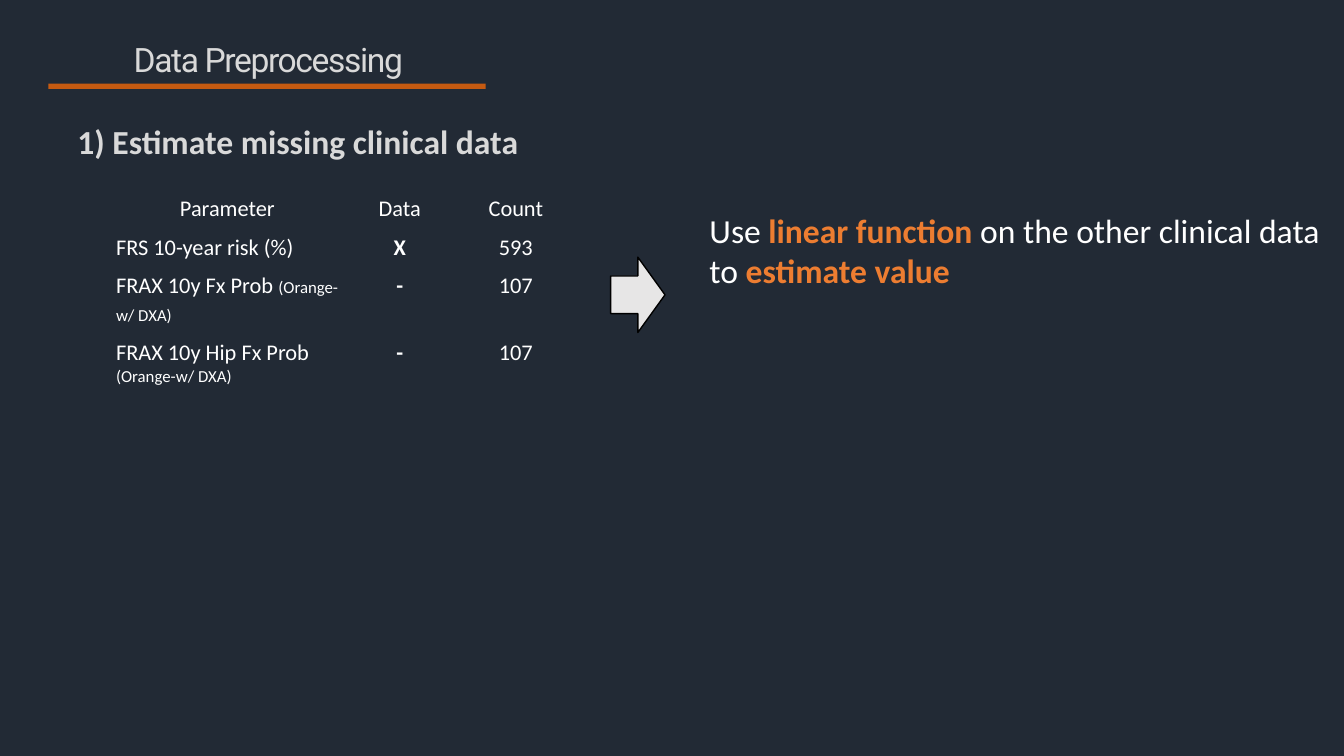
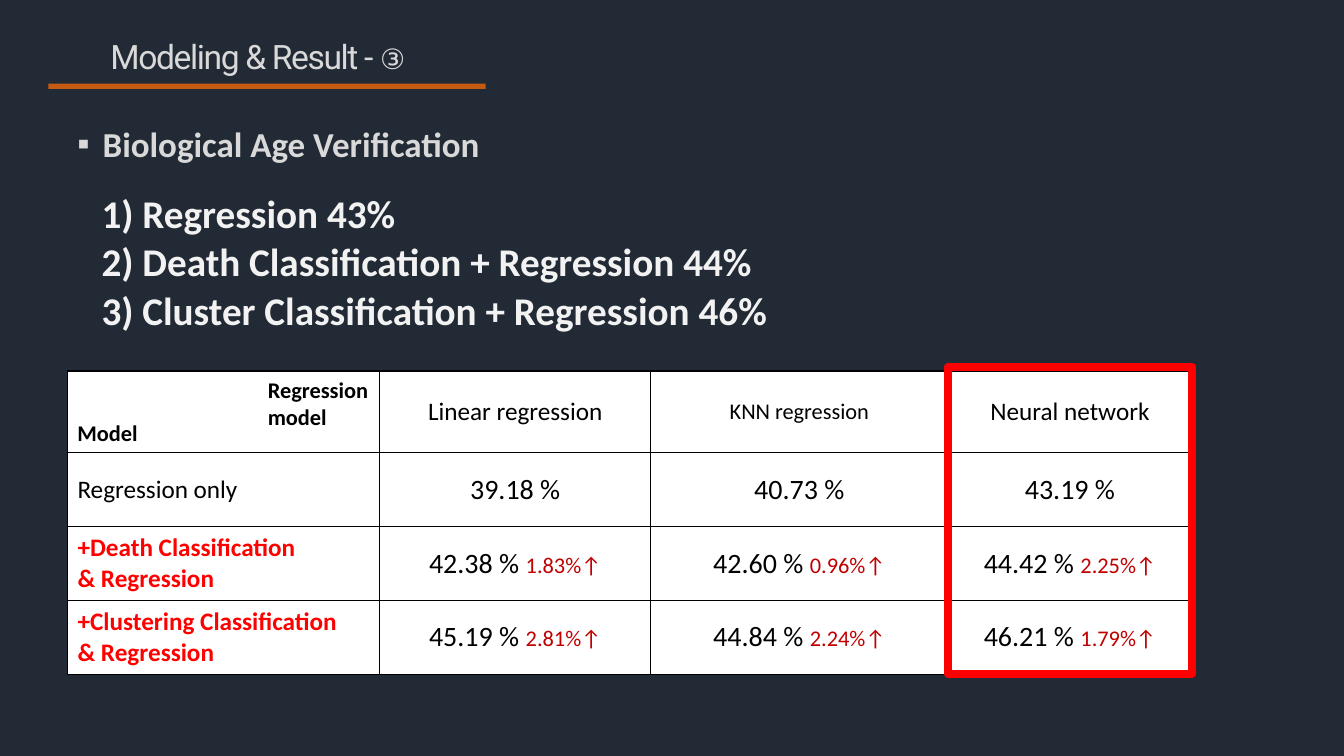
from lxml import etree
from pptx import Presentation
from pptx import util as u
from pptx.dml import color
from pptx.enum import shapes, text
from pptx.oxml import ns

NAVY, WHITE, BLACK = "222A35", "FFFFFF", "000000"
SILVER, PALE, ARROW = "D9D9D9", "F2F2F2", "E7E6E6"
RUST, ORANGE, RED, CRIMSON = "C55A11", "ED7D31", "FF0000", "C00000"
LEFT, CENTER = text.PP_ALIGN.LEFT, text.PP_ALIGN.CENTER
TOP, MIDDLE = text.MSO_ANCHOR.TOP, text.MSO_ANCHOR.MIDDLE


def rgb(value):
    """Return the colour for a hex string."""
    return color.RGBColor.from_string(value)


def box(*lengths):
    """Return lengths in centimetres as slide units."""
    return [u.Cm(n) for n in lengths]


def add_bullet(p, char, indent):
    """Give a paragraph a bullet with a hanging indent."""
    pPr = p._p.get_or_add_pPr()
    pPr.set("marL", str(u.Cm(indent)))
    pPr.set("indent", str(-u.Cm(indent)))
    etree.SubElement(pPr, ns.qn("a:buFont")).set("typeface", "Arial")
    etree.SubElement(pPr, ns.qn("a:buChar")).set("char", char)


def write(tf, paragraphs, align=LEFT, before=0, line=None, bullet=None, **fmt):
    """Fill a text frame; a paragraph is a list of strings or (string, format) runs."""
    tf.word_wrap = True
    for i, runs in enumerate(paragraphs):
        p = tf.paragraphs[0] if i == 0 else tf.add_paragraph()
        p.alignment = align
        if line:
            p.line_spacing = line
        if i and before:
            p.space_before = u.Pt(before)
        if bullet:
            add_bullet(p, bullet, 0.64)
        for run in runs:
            words, own = (run, {}) if isinstance(run, str) else run
            look = {"size": 16, "font": "Calibri", "color": WHITE, "bold": False, **fmt, **own}
            r = p.add_run()
            r.text = words
            r.font.size, r.font.name, r.font.bold = u.Pt(look["size"]), look["font"], look["bold"]
            r.font.color.rgb = rgb(look["color"])
            if "spacing" in look:
                r._r.get_or_add_rPr().set("spc", str(look["spacing"] * 100))


def add_text(s, at, paragraphs, anchor=TOP, **fmt):
    """Add a wrapped text box."""
    tf = s.shapes.add_textbox(*box(*at)).text_frame
    tf.vertical_anchor = anchor
    write(tf, paragraphs, **fmt)


def add_shape(s, kind, at, fill=None, line=None, width=1):
    """Add a preset shape with an optional fill and outline."""
    sp = s.shapes.add_shape(kind, *box(*at))
    sp.shadow.inherit = False
    if fill:
        sp.fill.solid()
        sp.fill.fore_color.rgb = rgb(fill)
    else:
        sp.fill.background()
    if line:
        sp.line.color.rgb = rgb(line)
        sp.line.width = u.Pt(width)
    else:
        sp.line.fill.background()


def set_borders(cell, line):
    """Draw all four cell borders, or clear them when no colour is given."""
    tcPr = cell._tc.get_or_add_tcPr()
    for i, side in enumerate(("lnL", "lnR", "lnT", "lnB")):
        ln = etree.Element(ns.qn("a:" + side), w=str(u.Pt(1)))
        if line:
            solid = etree.SubElement(ln, ns.qn("a:solidFill"))
            etree.SubElement(solid, ns.qn("a:srgbClr")).set("val", line)
        else:
            etree.SubElement(ln, ns.qn("a:noFill"))
        tcPr.insert(i, ln)


def add_table(s, left, top, widths, heights, fill=None, line=None):
    """Add a plain table and return it."""
    table = s.shapes.add_table(len(heights), len(widths),
                               *box(left, top, sum(widths), sum(heights))).table
    table.first_row = table.horz_banding = False
    for column, width in zip(table.columns, widths):
        column.width = u.Cm(width)
    for row, height in zip(table.rows, heights):
        row.height = u.Cm(height)
    for cell in table.iter_cells():
        if fill:
            cell.fill.solid()
            cell.fill.fore_color.rgb = rgb(fill)
        else:
            cell.fill.background()
        set_borders(cell, line)
    return table


def add_base(prs, title, left, top):
    """Add a slide with the shared background, title and underline."""
    s = prs.slides.add_slide(prs.slide_layouts[6])
    s.background.fill.solid()
    s.background.fill.fore_color.rgb = rgb(NAVY)
    add_text(s, (left, top, 10.72, 1.37), [title], MIDDLE, align=CENTER, line=0.9,
             size=24, font="Roboto", color=SILVER, spacing=-1)
    add_shape(s, shapes.MSO_SHAPE.RECTANGLE, (1.22, 2.11, 11.02, 0.13), RUST)
    return s


def add_missing_table(s, left, top):
    """Add the table of parameters with missing data."""
    note = ("(Orange-w/ DXA)", {"size": 12})
    rows = [(["Parameter"], "Data", "Count"),
            (["FRS 10-year risk (%)"], "X", "593"),
            (["FRAX 10y Fx Prob ", note, " "], "-", "107"),
            (["FRAX 10y Hip Fx Prob ", note], "-", "107")]
    table = add_table(s, left, top, (6.12, 2.57, 3.28), (0.97, 0.97, 1.68, 1.52))
    for r, (name, mark, count) in enumerate(rows):
        write(table.cell(r, 0).text_frame, [name], align=LEFT if r else CENTER)
        write(table.cell(r, 1).text_frame, [[mark]], align=CENTER, bold=r > 0)
        write(table.cell(r, 2).text_frame, [[count]], align=CENTER)


def add_result_table(s, left, top):
    """Add the accuracy table with its split corner and highlighted column."""
    widths, heights = (7.87, 6.83, 7.49, 6.15), (2.06, 1.86, 1.86, 1.86)
    heads = [("Linear regression", 18), ("KNN regression", 16), ("Neural network", 18)]
    rows = [(["Regression only"], ["39.18", "40.73", "43.19"], None),
            (["+Death Classification", "& Regression"],
             ["42.38", "42.60", "44.42"], ["1.83", "0.96", "2.25"]),
            (["+Clustering Classification", "& Regression"],
             ["45.19", "44.84", "46.21"], ["2.81", "2.24", "1.79"])]
    table = add_table(s, left, top, widths, heights, WHITE, BLACK)
    for cell in table.iter_cells():
        cell.vertical_anchor = MIDDLE
    for c, (head, size) in enumerate(heads, 1):
        cell = table.cell(0, c)
        cell.margin_left = cell.margin_right = cell.margin_top = cell.margin_bottom = 0
        write(cell.text_frame, [[head]], align=CENTER, size=size, color=BLACK)
    for r, (model, scores, gains) in enumerate(rows, 1):
        write(table.cell(r, 0).text_frame, [[part] for part in model], size=18,
              color=RED if gains else BLACK, bold=bool(gains))
        for c, score in enumerate(scores):
            runs = [score + " %"]
            if gains:
                runs = [score + " % ", (gains[c] + "%↑", {"size": 16, "color": CRIMSON})]
            write(table.cell(r, c + 1).text_frame, [runs], align=CENTER, size=20, color=BLACK)
    corner = {"color": BLACK, "bold": True}
    add_text(s, (left + 4.8, top, 3.45, 1.63), [["Regression model"]], **corner)
    add_text(s, (left, top + 1.09, 2.51, 0.94), [["Model"]], **corner)
    add_shape(s, shapes.MSO_SHAPE.RECTANGLE,
              (left + sum(widths[:3]), top - 0.1, widths[3], sum(heights) + 0.1),
              line=RED, width=6)


def preprocessing_slide(prs):
    """Build the data preprocessing slide."""
    s = add_base(prs, ["Data Preprocessing"], 1.4, 0.86)
    add_text(s, (1.7, 2.64, 13.44, 1.83), [["1) Estimate missing clinical data"]],
             MIDDLE, size=24, color=SILVER, bold=True)
    add_missing_table(s, 2.67, 4.8)
    accent = {"color": ORANGE, "bold": True}
    add_text(s, (17.63, 5.16, 15.93, 2.31),
             [["Use ", ("linear function", accent), " on the other clinical data to ",
               ("estimate value", accent)]], size=24)
    add_shape(s, shapes.MSO_SHAPE.RIGHT_ARROW, (15.39, 6.48, 1.37, 1.9), ARROW, BLACK)


def result_slide(prs):
    """Build the modeling result slide."""
    s = add_base(prs, ["Modeling & Result - ", ("③", {"size": 20})], 1.14, 0.79)
    add_text(s, (1.7, 2.24, 29.26, 2.77), [["Biological Age Verification"]], MIDDLE,
             bullet="▪", size=25, color=SILVER, bold=True)
    add_text(s, (2.31, 4.11, 29.26, 4.93),
             [["1) Regression 43%"], ["2) Death Classification + Regression 44%"],
              ["3) Cluster Classification + Regression 46%"]],
             MIDDLE, before=1, size=28, color=PALE, bold=True)
    add_result_table(s, 1.7, 9.35)


def main():
    """Build and save the presentation."""
    prs = Presentation()
    prs.slide_width, prs.slide_height = box(33.87, 19.05)
    preprocessing_slide(prs)
    result_slide(prs)
    prs.save("out.pptx")


if __name__ == "__main__":
    main()
